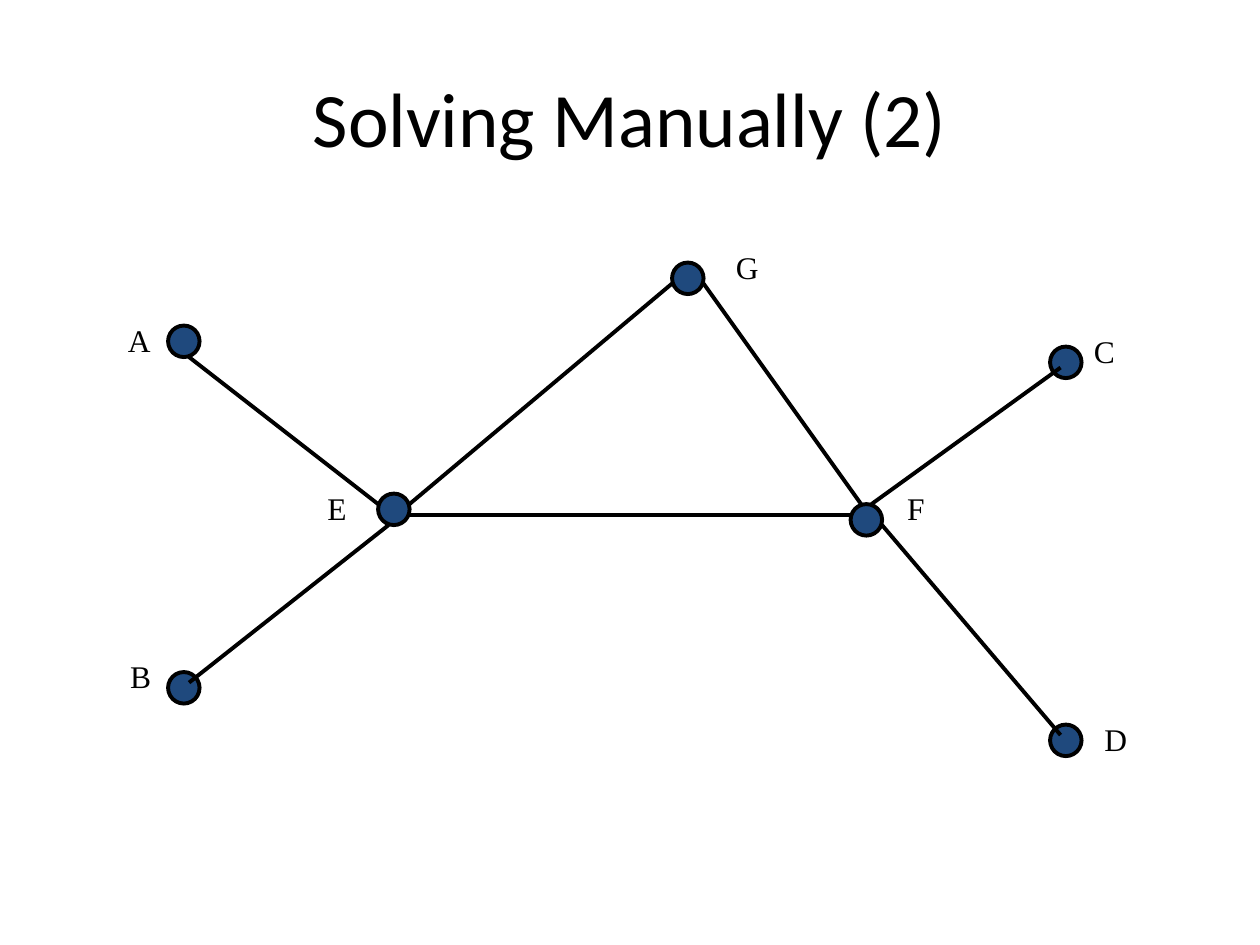
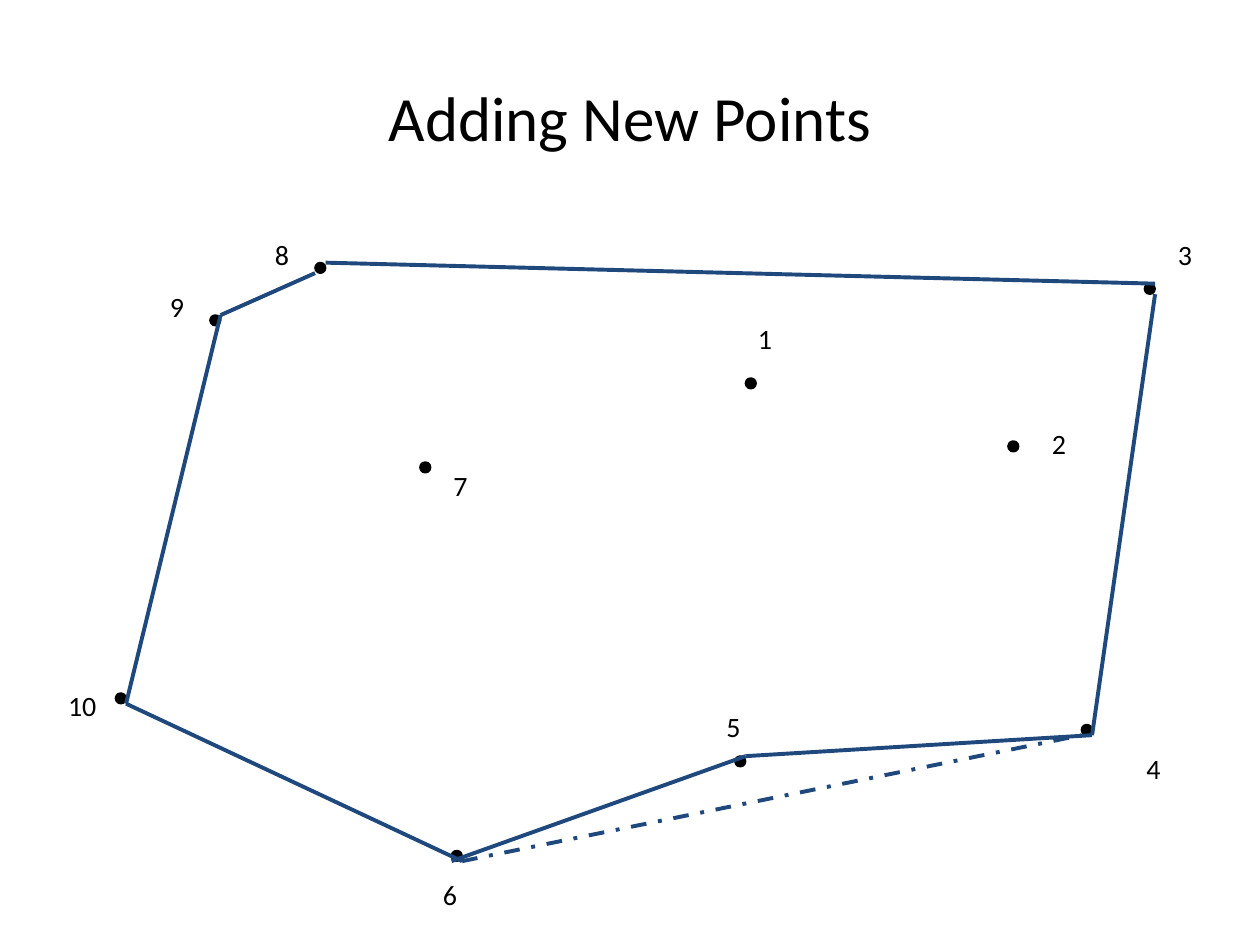
from lxml import etree
from pptx import Presentation
from pptx.dml.color import RGBColor
from pptx.enum.dml import MSO_LINE
from pptx.enum.shapes import MSO_CONNECTOR, MSO_SHAPE
from pptx.enum.text import MSO_ANCHOR, MSO_AUTO_SIZE, PP_ALIGN
from pptx.oxml.ns import qn
from pptx.util import Cm, Pt

ELLIPSE = MSO_SHAPE.OVAL
STRAIGHT = MSO_CONNECTOR.STRAIGHT
DASH_DOT = MSO_LINE.DASH_DOT
CENTER, LEFT = PP_ALIGN.CENTER, PP_ALIGN.LEFT
MIDDLE, TOP = MSO_ANCHOR.MIDDLE, MSO_ANCHOR.TOP
NO_AUTOFIT = MSO_AUTO_SIZE.NONE
TITLE_ONLY = 5

COLORS = {"black": "000000", "blue": "1F497D", "white": "FFFFFF"}
GRID = Cm(2.54) // 12  # drawings snap to twelve steps per 2.54 cm
TITLE_BOX = (Cm(1.27), Cm(0.76), Cm(22.86), Cm(3.18))
LINE_WIDTH = 2.25

# Points, labels and edges are in grid steps from the box's top left corner.
TREE_BOX = (Cm(2.33), Cm(4.87))
TREE = {
    # name: (node corner, label corner)
    "points": {
        "A": ((5, 8), (0, 7)),
        "B": ((5, 41), (0.2, 39)),
        "C": ((89, 10), (92, 8)),
        "D": ((89, 46), (93, 45)),
        "E": ((25, 24), (19, 23)),
        "F": ((70, 25), (74.2, 23)),
        "G": ((53, 2), (57.9, 0)),
    },
    "edges": [
        ((28, 26), (70, 26)),  # E to F
        ((7, 11), (25, 25)),  # A to E
        ((26, 27), (7, 42)),  # E to B
        ((72, 25), (90, 12)),  # F to C
        ((73, 27), (90, 47)),  # F to D
        ((28, 25), (53, 4)),  # E to G
        ((56, 4), (71, 25)),  # G to F
    ],
    "dashed_edges": [],
}
TREE_STYLE = {
    "node_steps": 3, "node_fill": "blue", "outline": 2.25, "edge_color": "black",
    "label_size": (Cm(1.12), Cm(1.27)),
    "label_font": {"name": "Times New Roman", "size": Pt(18)},
}

HULL_BOX = (Cm(1.06), Cm(4.66))
HULL = {
    "points": {
        "1": ((66, 14), (66, 8)),
        "2": ((91, 20), (94, 18)),
        "3": ((104, 5), (106, 0)),
        "4": ((98, 47), (103, 49)),
        "5": ((65, 50), (63, 45)),
        "6": ((38, 59), (36, 61)),
        "7": ((35, 22), (37, 22)),
        "8": ((25, 3), (20, 0)),
        "9": ((15, 8), (10, 5)),
        "10": ((6, 44), (0.3, 43)),
    },
    "edges": [
        ((26, 3), (105, 5)),  # 8 to 3
        ((105, 6), (99, 48)),  # 3 to 4
        ((7, 45), (39, 60)),  # 10 to 6
        ((7, 45), (16, 8)),  # 10 to 9
        ((16, 8), (25, 4)),  # 9 to 8
        ((38, 60), (66, 50)),  # 6 to 5
        ((66, 50), (99, 48)),  # 5 to 4
    ],
    "dashed_edges": [((39, 60), (98, 48))],  # 6 to 4
}
HULL_STYLE = {
    "node_steps": 1, "node_fill": "black", "outline": 1, "edge_color": "blue",
    "label_size": (Cm(1.14), Cm(0.94)),
    "label_font": {"name": "Calibri", "size": Pt(16)},
}


def rgb(name):
    return RGBColor.from_string(COLORS[name])


def set_text(shape, text, font_format, alignment, anchor):
    frame = shape.text_frame
    for name, value in {"text": text, "vertical_anchor": anchor,
                        "auto_size": NO_AUTOFIT}.items():
        setattr(frame, name, value)
    paragraph = frame.paragraphs[0]
    paragraph.alignment = alignment
    for name, value in font_format.items():
        setattr(paragraph.font, name, value)
    paragraph.font.color.rgb = rgb("black")


def place(box, point):
    """Turn grid steps inside a box into slide coordinates."""
    return [start + round(steps * GRID) for start, steps in zip(box, point)]


def add_titled_slide(presentation, title, size):
    slide = presentation.slides.add_slide(presentation.slide_layouts[TITLE_ONLY])
    slide.background.fill.solid()
    slide.background.fill.fore_color.rgb = rgb("white")
    shape = slide.shapes.title
    for name, value in zip(("left", "top", "width", "height"), TITLE_BOX):
        setattr(shape, name, value)
    set_text(shape, title, {"name": "Calibri", "size": Pt(size)}, CENTER, MIDDLE)
    return slide


def add_node(slide, box, corner, style):
    side = style["node_steps"] * GRID
    node = slide.shapes.add_shape(ELLIPSE, *place(box, corner), side, side)
    node.shadow.inherit = False
    node.fill.solid()
    node.fill.fore_color.rgb = rgb(style["node_fill"])
    node.line.color.rgb = rgb("black")
    node.line.width = Pt(style["outline"])


def add_edge(slide, box, edge, color, dash=None):
    start, end = edge
    connector = slide.shapes.add_connector(STRAIGHT, *place(box, start), *place(box, end))
    connector.line.color.rgb = rgb(color)
    connector.line.width = Pt(LINE_WIDTH)
    if dash:
        connector.line.dash_style = dash
    etree.SubElement(connector._element.spPr, qn("a:effectLst"))


def draw_graph(slide, box, graph, style):
    # Nodes
    for node_corner, _ in graph["points"].values():
        add_node(slide, box, node_corner, style)
    # Labels
    for name, (_, label_corner) in graph["points"].items():
        label = slide.shapes.add_textbox(*place(box, label_corner), *style["label_size"])
        set_text(label, name, style["label_font"], LEFT, TOP)
        label.text_frame.word_wrap = False
    # Edges
    for edge in graph["dashed_edges"]:
        add_edge(slide, box, edge, style["edge_color"], DASH_DOT)
    for edge in graph["edges"]:
        add_edge(slide, box, edge, style["edge_color"])


def main():
    presentation = Presentation()
    presentation.slide_width, presentation.slide_height = Cm(25.4), Cm(19.05)

    tree_slide = add_titled_slide(presentation, "Solving Manually (2)", 44)
    draw_graph(tree_slide, TREE_BOX, TREE, TREE_STYLE)

    hull_slide = add_titled_slide(presentation, "Adding New Points", 36)
    draw_graph(hull_slide, HULL_BOX, HULL, HULL_STYLE)

    presentation.save("out.pptx")


if __name__ == "__main__":
    main()
